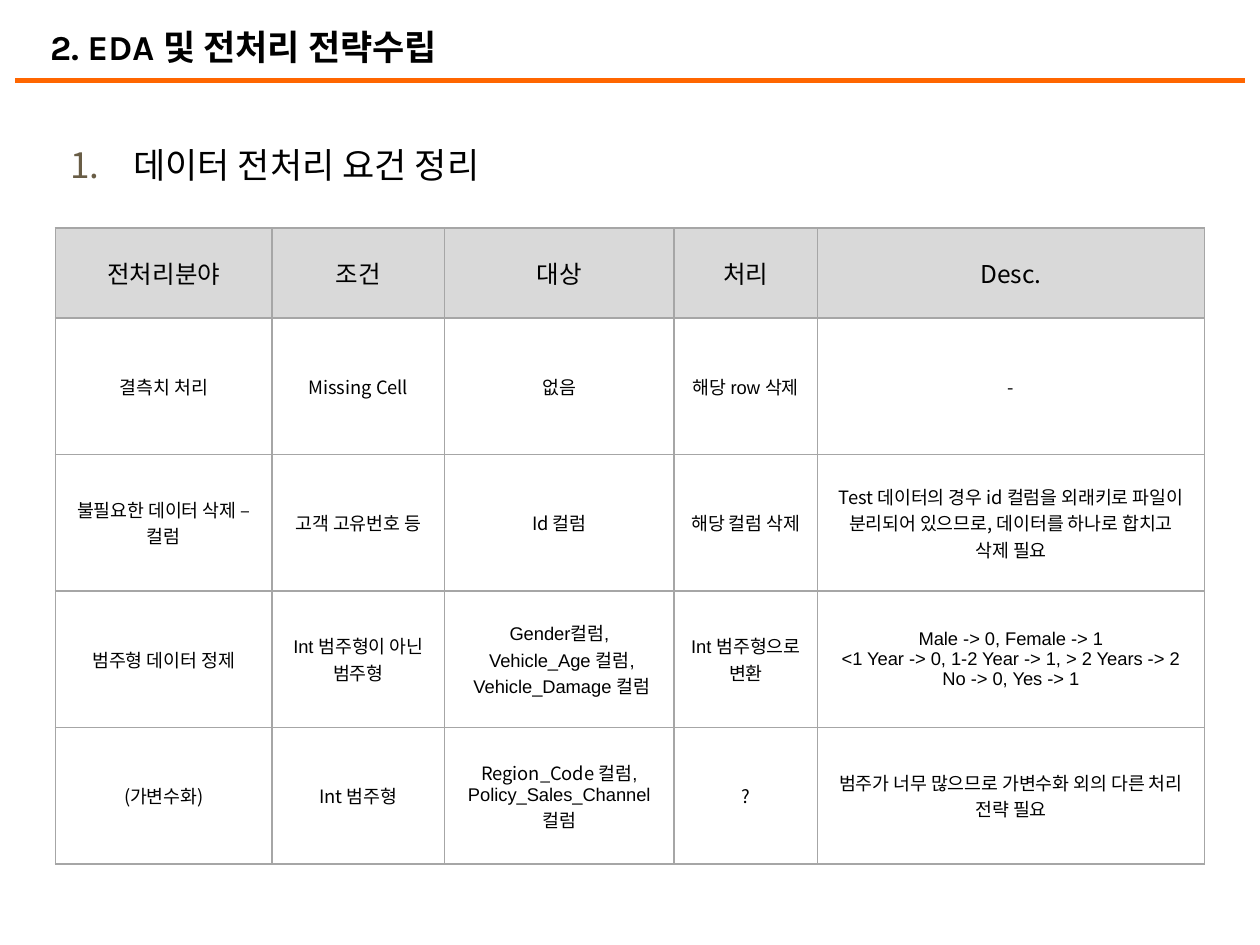
from lxml.etree import SubElement
from pptx import Presentation
from pptx.dml.color import RGBColor
from pptx.enum.shapes import MSO_CONNECTOR as Connector
from pptx.enum.text import MSO_ANCHOR as Anchor, PP_ALIGN as Align
from pptx.oxml import parse_xml
from pptx.oxml.ns import nsdecls, qn
from pptx.util import Inches, Pt

NOTO, ARIAL, KARLA = "Noto Sans CJK KR", "Arial", "Karla"


def color(code):
    return RGBColor.from_string(code)


def add_span(para, text, font, size, bold=False):
    """Add text to a paragraph, one run for each line."""
    for number, line in enumerate(text.split("\n")):
        if number:
            para.add_line_break()
        span = para.add_run()
        span.text = line
        span.font.size, span.font.bold = Pt(size), bold
        span.font.color.rgb = color("000000")
        span.font.name = font
        SubElement(span.font._element, qn("a:ea"), typeface=NOTO)


deck = Presentation()
deck.slide_width, deck.slide_height = Inches(10), Inches(7.5)
page = deck.slides.add_slide(deck.slide_layouts[6])
wide, high = deck.slide_width / 100, deck.slide_height / 100  # 1% of the slide

# Title
box = page.shapes.add_textbox(int(3 * wide), int(2 * high), int(97 * wide), int(5.87 * high))
box.text_frame.word_wrap = True
add_span(box.text_frame.paragraphs[0], "2. EDA 및 전처리 전략수립", KARLA, 20, True)

# Numbered heading
box = page.shapes.add_textbox(int(3.4 * wide), int(11.6 * high), int(93.2 * wide), int(10 * high))
frame = box.text_frame
frame.word_wrap = True
frame.margin_top = frame.margin_bottom = Inches(0.1)
para = frame.paragraphs[0]
para.line_spacing = 1.5
add_span(para, "데이터 전처리 요건 정리", NOTO, 20)
props = para._p.get_or_add_pPr()
props.set("marL", str(Inches(0.62)))
props.set("indent", str(Inches(-0.5)))
SubElement(SubElement(props, qn("a:buClr")), qn("a:srgbClr"), val="695D46")
SubElement(props, qn("a:buFont"), typeface=NOTO)
SubElement(props, qn("a:buAutoNum"), type="arabicPeriod")

# Rule under the title
rule = page.shapes.add_connector(
    Connector.STRAIGHT, int(1.2 * wide), int(8.5 * high), int(98.8 * wide), int(8.5 * high))
rule.line.color.rgb = color("FF6600")
rule.line.width = Pt(3)
SubElement(rule._element.spPr, qn("a:effectLst"))

# Table content: a cell is a list of paragraphs, a paragraph a list of (text, font)
header = [[[(name, NOTO)]] for name in ("전처리분야", "조건", "대상", "처리", "Desc.")]
missing = [
    [[("결측치", NOTO), (" 처리", ARIAL)]],
    [[("Missing Cell", NOTO)]],
    [[("없음", NOTO)]],
    [[("해당 ", NOTO), ("row 삭제", ARIAL)]],
    [[("-", NOTO)]],
]
unneeded = [
    [[("불필요한 데이터 삭제 ", NOTO), ("– 컬럼", ARIAL)]],
    [[("고객 고유번호 등", NOTO)]],
    [[("Id 컬럼", NOTO)]],
    [[("해당 컬럼 삭제", NOTO)]],
    [[("Test 데이터의 경우 id 컬럼을 외래키로 파일이 분리되어 있으므로, "
       "데이터를 하나로 합치고 삭제 필요", NOTO)]],
]
categories = [
    [[("범주형 데이터 정제", ARIAL)]],
    [[("Int 범주형이 아닌 범주형", ARIAL)]],
    [[("Gender컬럼,\n Vehicle_Age 컬럼,\n Vehicle_Damage 컬럼", ARIAL)]],
    [[("Int 범주형으로 변환", ARIAL)]],
    [[("Male -> 0, Female -> 1", ARIAL)],
     [("<1 Year -> 0, 1-2 Year -> 1, > 2 Years -> 2\nNo -> 0, Yes -> 1", ARIAL)]],
]
dummies = [
    [[("(가변수화)", NOTO)]],
    [[("Int ", NOTO), ("범주형", ARIAL)]],
    [[("Region_Code ", NOTO), ("컬럼,", ARIAL)], [("Policy_Sales_Channel 컬럼", ARIAL)]],
    [[("?", NOTO)]],
    [[("범주가 너무 많으므로 가변수화 외의 다른 처리 전략 필요", ARIAL)]],
]
rows = [header, missing, unneeded, categories, dummies]

# Table grid
column_shares = [17.2, 13.7, 18.2, 11.4, 30.7]
row_shares = [9.5] + [14.45] * 4
table = page.shapes.add_table(
    len(rows), len(column_shares), int(4.4 * wide), int(24.13 * high),
    int(sum(column_shares) * wide), int(sum(row_shares) * high)).table
for column, share in zip(table.columns, column_shares):
    column.width = int(share * wide)
for row, share in zip(table.rows, row_shares):
    row.height = int(share * high)

# Table cells
for row_number, row in enumerate(rows):
    size, fill = (14, "D9D9D9") if row_number == 0 else (10.5, "FFFFFF")
    for column_number, paragraphs in enumerate(row):
        cell = table.cell(row_number, column_number)
        cell.vertical_anchor = Anchor.MIDDLE
        cell.fill.solid()
        cell.fill.fore_color.rgb = color(fill)
        for number, spans in enumerate(paragraphs):
            frame = cell.text_frame
            para = frame.add_paragraph() if number else frame.paragraphs[0]
            para.alignment = Align.CENTER
            for text, font in spans:
                add_span(para, text, font, size)
        for place, side in enumerate("LRTB"):
            cell._tc.get_or_add_tcPr().insert(place, parse_xml(
                f'<a:ln{side} {nsdecls("a")} w="{Pt(1)}"><a:solidFill>'
                f'<a:srgbClr val="A6A6A6"/></a:solidFill></a:ln{side}>'))

deck.save("out.pptx")
